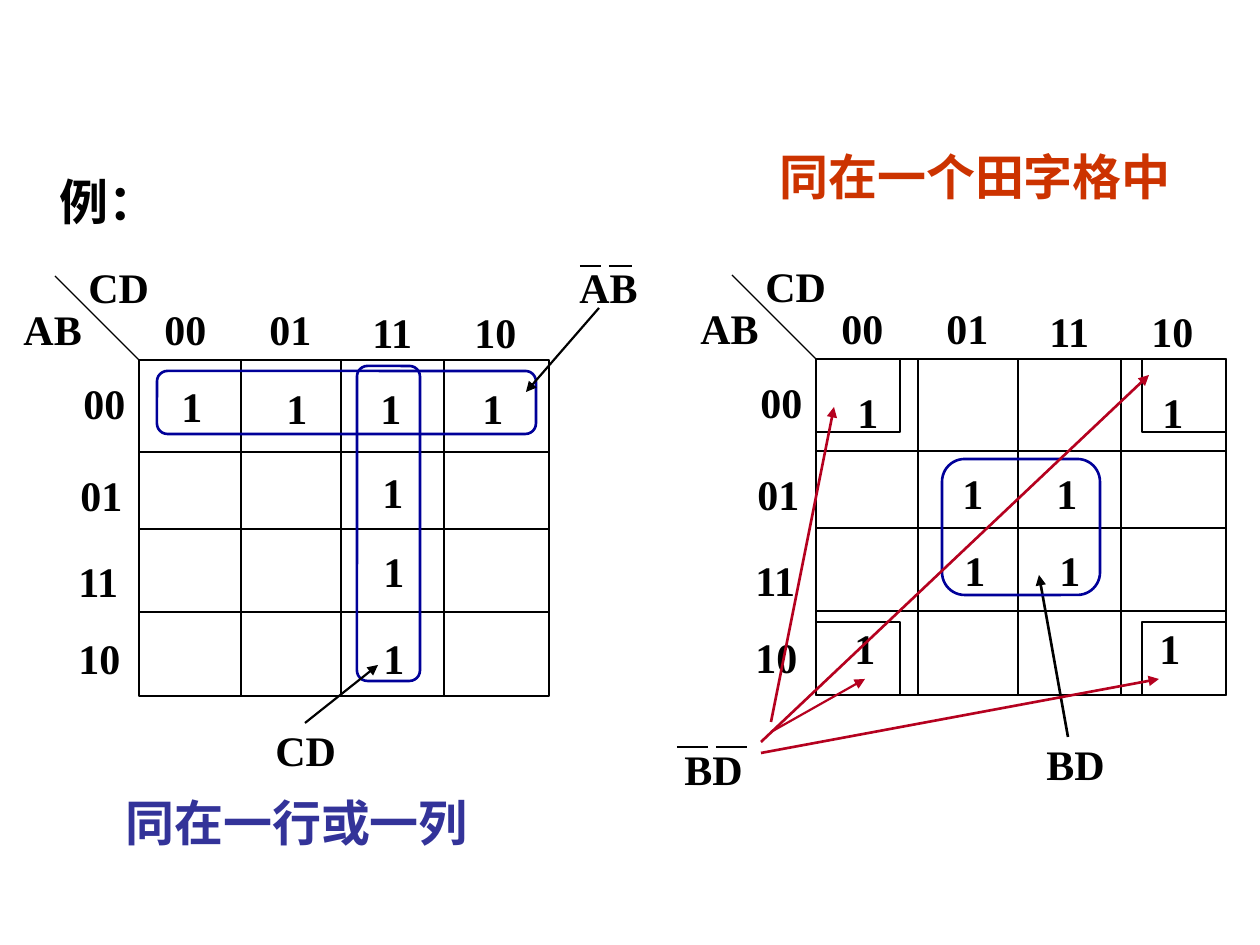
from lxml import etree
from pptx import Presentation
from pptx.dml.color import RGBColor
from pptx.enum.shapes import MSO_CONNECTOR, MSO_SHAPE
from pptx.enum.text import MSO_AUTO_SIZE
from pptx.oxml.ns import qn
from pptx.util import Emu, Pt

PX = 914400 / 126
BLACK, NAVY, RED = "000000", "000099", "B5011F"
SERIF, HAN = "Times New Roman", "Noto Sans CJK SC"

MAP_WIDTH, MAP_HEIGHT = 410, 336
COLUMN_LINES = (102, 202, 305)
ROW_LINES = (92, 169, 252)
LABEL_WIDTHS = {"AB": 85, "CD": 87, "BD": 85}
# Text, x and y from the top left corner of the grid
MAP_LABELS = (
    ("AB", -128, -63), ("CD", -63, -105),
    ("00", 13, -63), ("01", 118, -63), ("11", 221, -60), ("10", 323, -60),
    ("00", -68, 11), ("01", -71, 103), ("11", -73, 189), ("10", -73, 266),
)


def px(value):
    return Emu(round(value * PX))


def color(hex_text):
    return RGBColor.from_string(hex_text)


def add_text(slide, text, left, top, width, height=63, *, size=24,
             ink=BLACK, font=SERIF, wrap=False):
    box = slide.shapes.add_textbox(px(left), px(top), px(width), px(height))
    box.text_frame.word_wrap = wrap
    box.text_frame.auto_size = MSO_AUTO_SIZE.SHAPE_TO_FIT_TEXT
    run = box.text_frame.paragraphs[0].add_run()
    run.text = text
    run.font.size = Pt(size)
    run.font.bold = True
    run.font.name = font
    run.font.color.rgb = color(ink)
    latin = run.font._element.find(qn("a:latin"))
    east_asian = etree.Element(qn("a:ea"), typeface=HAN)
    latin.addnext(east_asian)


def add_label(slide, text, left, top):
    add_text(slide, text, left, top, LABEL_WIDTHS.get(text, 22 + 23 * len(text)))


def add_line(slide, x1, y1, x2, y2, ink=BLACK, weight=0.75, arrow=False):
    line = slide.shapes.add_connector(
        MSO_CONNECTOR.STRAIGHT, px(x1), px(y1), px(x2), px(y2))
    line.line.color.rgb = color(ink)
    line.line.width = Pt(weight)
    if arrow:
        etree.SubElement(line.line._get_or_add_ln(), qn("a:tailEnd"), type="triangle")
    etree.SubElement(line._element.spPr, qn("a:effectLst"))


def add_outline(slide, left, top, width, height, ink=BLACK, weight=0.75, rounded=False):
    kind = MSO_SHAPE.ROUNDED_RECTANGLE if rounded else MSO_SHAPE.RECTANGLE
    outline = slide.shapes.add_shape(kind, px(left), px(top), px(width), px(height))
    outline.shadow.inherit = False
    outline.fill.background()
    outline.line.color.rgb = color(ink)
    outline.line.width = Pt(weight)


def add_loop(slide, left, top, width, height):
    """Circle a group of adjacent ones."""
    add_outline(slide, left, top, width, height, NAVY, 1.5, rounded=True)


def add_map(slide, left, top, ones):
    """Draw a four-variable Karnaugh map with its grid corner at left, top."""
    right, bottom = left + MAP_WIDTH, top + MAP_HEIGHT
    add_outline(slide, left, top, MAP_WIDTH, MAP_HEIGHT)
    for x in COLUMN_LINES:
        add_line(slide, left + x, top, left + x, bottom)
    for y in ROW_LINES:
        add_line(slide, left, top + y, right, top + y)
    add_line(slide, left, top, left - 84, top - 84)
    for text, x, y in MAP_LABELS:
        add_label(slide, text, left + x, top + y)
    for x, y in ones:
        add_label(slide, "1", left + x, top + y)


def add_negated_term(slide, text, left, top, bars, bar_y, weight):
    """Write a product term with a bar over each letter."""
    add_label(slide, text, left, top)
    for start, end in bars:
        add_line(slide, left + start, top + bar_y, left + end, top + bar_y, weight=weight)


def add_line_groups(slide, left, top):
    """Map whose groups fill one row or one column."""
    ones = ((30, 14), (135, 16), (229, 16), (331, 16),
            (231, 100), (232, 179), (232, 266))
    add_map(slide, left, top, ones)
    add_loop(slide, left + 18, top + 11, 379, 63)
    add_loop(slide, left + 218, top + 6, 63, 315)
    add_line(slide, left + 166, top + 363, left + 239, top + 305, weight=1.25, arrow=True)
    add_label(slide, "CD", left + 124, top + 358)
    add_line(slide, left + 460, top - 52, left + 387, top + 32, weight=1.25, arrow=True)
    add_negated_term(slide, "AB", left + 428, top - 105,
                     ((13, 34), (42, 65)), 11, 1.5)
    add_text(slide, "同在一行或一列", left - 26, top + 426, 417, 72,
             size=28, ink="333399", wrap=True)


def add_square_groups(slide, left, top):
    """Map whose groups form a square, in the middle or across the corners."""
    ones = ((29, 21), (334, 21), (134, 102), (228, 102),
            (136, 179), (231, 179), (26, 257), (331, 257))
    add_map(slide, left, top, ones)
    add_line(slide, left + 252, top + 378, left + 223, top + 216, weight=1.5, arrow=True)
    add_label(slide, "BD", left + 218, top + 373)
    add_text(slide, "同在一个田字格中", left - 49, top - 219, 418, 72,
             size=28, ink="CC3300")
    add_loop(slide, left + 126, top + 100, 158, 136)

    corner_width, corner_height = 84, 73
    for x in (0, MAP_WIDTH - corner_width):
        for y in (0, MAP_HEIGHT - corner_height):
            add_outline(slide, left + x, top + y, corner_width, corner_height)

    add_negated_term(slide, "BD", left - 144, top + 378,
                     ((5, 36), (44, 75)), 10, 0.75)
    corner_arrows = ((-45, 373, 49, 320, 1.25), (-55, 394, 343, 320, 1.5),
                     (-55, 383, 333, 16, 1.5), (-45, 363, 18, 48, 1.5))
    for x1, y1, x2, y2, weight in corner_arrows:
        add_line(slide, left + x1, top + y1, left + x2, top + y2, RED, weight, arrow=True)


def main():
    presentation = Presentation()
    presentation.slide_width = px(1260)
    presentation.slide_height = px(945)
    slide = presentation.slides.add_slide(presentation.slide_layouts[6])
    add_text(slide, "例：", 47, 165, 134, 72, size=28, font=HAN)
    add_line_groups(slide, 139, 360)
    add_square_groups(slide, 816, 359)
    presentation.save("out.pptx")


if __name__ == "__main__":
    main()
